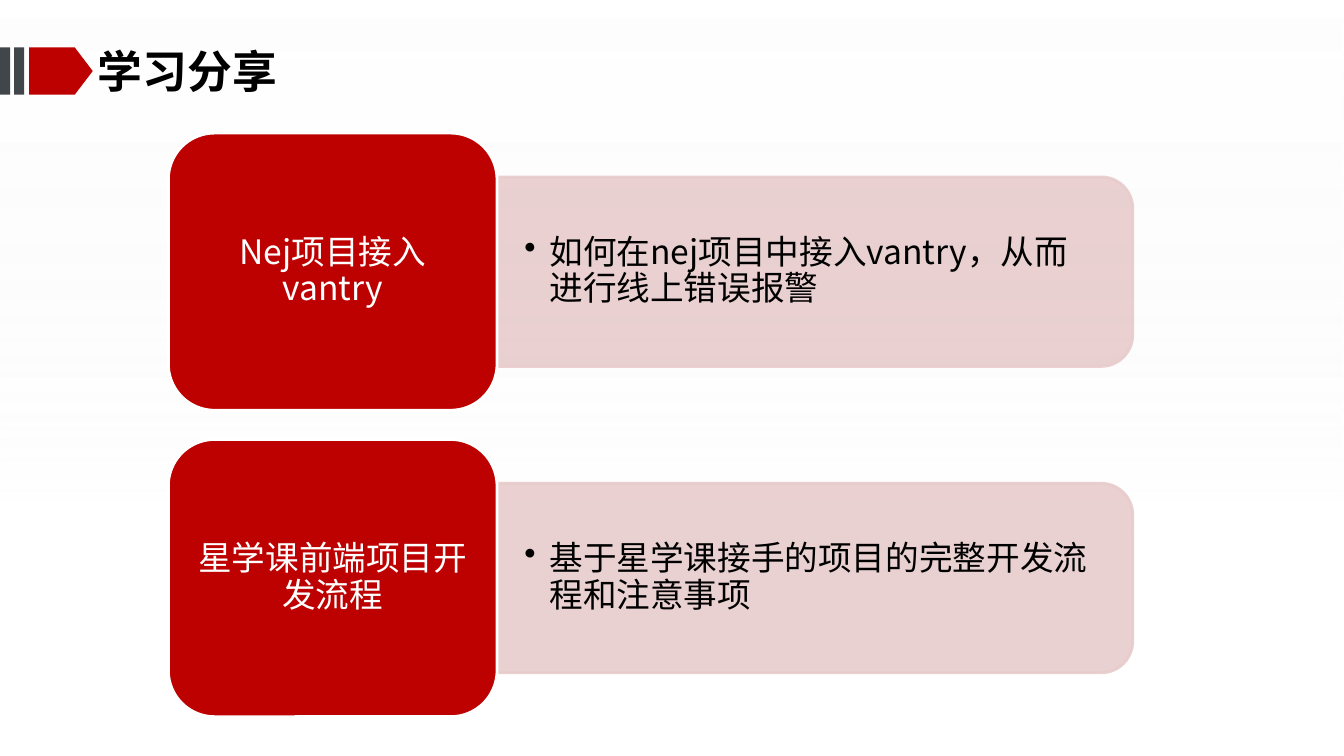
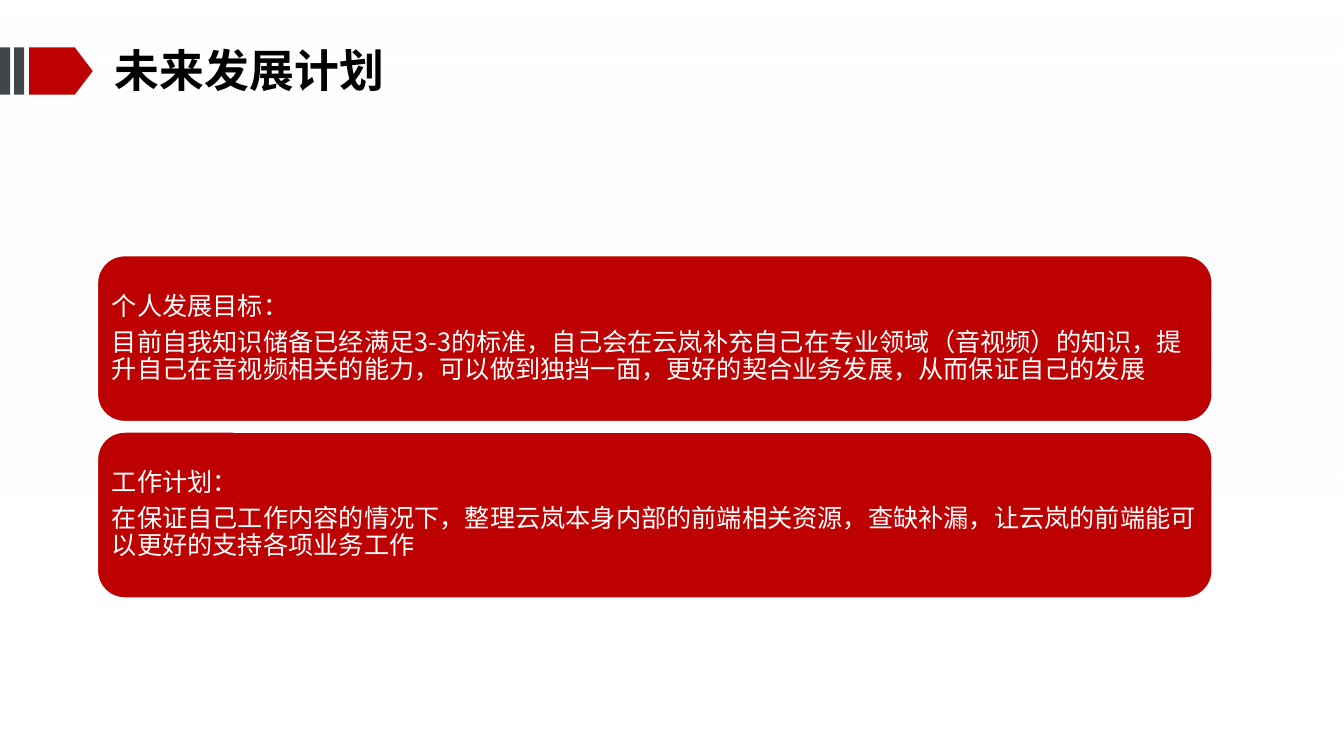
from dataclasses import dataclass

from lxml import etree
from pptx import Presentation
from pptx import util as u
from pptx.dml import color as dml
from pptx.enum import shapes, text
from pptx.oxml import ns

EMU_PER_PX = 9144  # 100 px to the inch
SLIDE_W, SLIDE_H = 1333, 750

FONT = "Noto Sans CJK SC"
RED, PINK, SLATE = "BD0000", "E8CCCC", "40464A"
WHITE, BLACK, MIST = "FFFFFF", "000000", "F2F2F2"

KIND = shapes.MSO_SHAPE


@dataclass(frozen=True)
class Box:
    left: int
    top: int
    width: int
    height: int

    def emu(self) -> list[int]:
        return [px(v) for v in (self.left, self.top, self.width, self.height)]


@dataclass(frozen=True)
class Topic:
    name: str
    detail: str


@dataclass(frozen=True)
class Plan:
    heading: str
    body: str


TOPICS = [
    Topic("Nej项目接入vantry", "如何在nej项目中接入vantry，从而进行线上错误报警"),
    Topic("星学课前端项目开发流程", "基于星学课接手的项目的完整开发流程和注意事项"),
]
PLANS = [
    Plan("个人发展目标：",
         "目前自我知识储备已经满足3-3的标准，自己会在云岚补充自己在专业领域（音视频）的知识，"
         "提升自己在音视频相关的能力，可以做到独挡一面，更好的契合业务发展，从而保证自己的发展"),
    Plan("工作计划：",
         "在保证自己工作内容的情况下，整理云岚本身内部的前端相关资源，查缺补漏，"
         "让云岚的前端能可以更好的支持各项业务工作"),
]


def px(value: int) -> int:
    return value * EMU_PER_PX


def rgb(hex_code: str) -> dml.RGBColor:
    return dml.RGBColor.from_string(hex_code)


def add_alpha(fill_element, percents: list[int]) -> None:
    """Set the opacity of each colour below an element, in order."""
    for colour, percent in zip(fill_element.iter(ns.qn("a:srgbClr")), percents):
        etree.SubElement(colour, ns.qn("a:alpha")).set("val", str(percent * 1000))


def draw_shape(slide, kind, box: Box, fill: str, line: str | None = None):
    shape = slide.shapes.add_shape(kind, *box.emu())
    shape.shadow.inherit = False
    shape.fill.solid()
    shape.fill.fore_color.rgb = rgb(fill)
    if line:
        shape.line.color.rgb = rgb(line)
        shape.line.width = u.Pt(2)
    else:
        shape.line.fill.background()
    return shape


def write(shape, paragraphs: list[str], *, size: int, color: str, bold: bool = False,
          align=text.PP_ALIGN.LEFT, anchor=text.MSO_ANCHOR.MIDDLE,
          inset: tuple[int, int] = (0, 0), after: float = 0, bullet: bool = False) -> None:
    frame = shape.text_frame
    frame.word_wrap = True
    frame.vertical_anchor = anchor
    frame.margin_left = frame.margin_right = px(inset[0])
    frame.margin_top = frame.margin_bottom = px(inset[1])
    for index, content in enumerate(paragraphs):
        paragraph = frame.add_paragraph() if index else frame.paragraphs[0]
        paragraph.alignment = align
        paragraph.line_spacing = 0.9
        paragraph.space_after = u.Pt(after)
        if bullet:
            props = paragraph._p.get_or_add_pPr()
            props.set("marL", str(px(25)))
            props.set("indent", str(-px(25)))
            etree.SubElement(props, ns.qn("a:buChar")).set("char", "•")
        run = paragraph.add_run()
        run.text = content
        run.font.size = u.Pt(size)
        run.font.bold = bold
        run.font.color.rgb = rgb(color)
        run.font.name = FONT
        east_asian = etree.SubElement(run._r.get_or_add_rPr(), ns.qn("a:ea"))
        east_asian.set("typeface", FONT)


def start_slide(deck, title: str, title_box: Box):
    slide = deck.slides.add_slide(deck.slide_layouts[6])

    # Soft background gradient
    backdrop = draw_shape(slide, KIND.RECTANGLE, Box(0, 0, SLIDE_W, SLIDE_H), WHITE)
    backdrop.fill.gradient()
    backdrop.fill.gradient_angle = 270
    for stop, position, tint in zip(backdrop.fill.gradient_stops, (0, 0.71), (WHITE, MIST)):
        stop.position = position
        stop.color.rgb = rgb(tint)
    add_alpha(backdrop._element.spPr, [55, 0])

    # Title marker: red arrow tag and two bars
    tag = draw_shape(slide, KIND.PENTAGON, Box(29, 47, 63, 47), RED)
    tag.adjustments[0] = 0.38
    for left in (14, 0):
        draw_shape(slide, KIND.RECTANGLE, Box(left, 47, 10, 47), SLATE)

    heading = slide.shapes.add_textbox(*title_box.emu())
    write(heading, [title], size=32, color=BLACK, bold=True, anchor=text.MSO_ANCHOR.TOP)
    return slide


def draw_topic(slide, topic: Topic, top: int) -> None:
    card = Box(167, top, 326, 275)
    band_w, band_h = 631, 188
    middle = top + card.height // 2
    band_left = card.left + card.width

    # The band stands upright and is turned so its round corners face right
    upright = Box(band_left + (band_w - band_h) // 2, middle - band_w // 2, band_h, band_w)
    band = draw_shape(slide, KIND.ROUND_2_SAME_RECTANGLE, upright, PINK, PINK)
    band.rotation = 90
    add_alpha(band._element.spPr, [90, 90])

    detail = slide.shapes.add_textbox(*Box(band_left, middle - 84, 622, 169).emu())
    write(detail, [topic.detail], size=24, color=BLACK, inset=(27, 14), after=3.6, bullet=True)

    name = draw_shape(slide, KIND.ROUNDED_RECTANGLE, card, RED, WHITE)
    write(name, [topic.name], size=24, color=WHITE, align=text.PP_ALIGN.CENTER,
          inset=(10, 5), after=8.4)


def draw_plan(slide, plan: Plan, top: int) -> None:
    panel = draw_shape(slide, KIND.ROUNDED_RECTANGLE, Box(96, top, 1107, 166), RED, WHITE)
    write(panel, [plan.heading, plan.body], size=18, color=WHITE, inset=(7, 7), after=6.3)


def main() -> None:
    deck = Presentation()
    deck.slide_width, deck.slide_height = px(SLIDE_W), px(SLIDE_H)

    # Slide 1: shared topics
    sharing = start_slide(deck, "学习分享", Box(97, 49, 457, 59))
    for row, topic in enumerate(TOPICS):
        draw_topic(sharing, topic, 132 + row * 304)

    # Slide 2: future plans
    future = start_slide(deck, "未来发展计划", Box(114, 48, 457, 34))
    for row, plan in enumerate(PLANS):
        draw_plan(future, plan, 253 + row * 175)

    deck.save("out.pptx")


if __name__ == "__main__":
    main()
